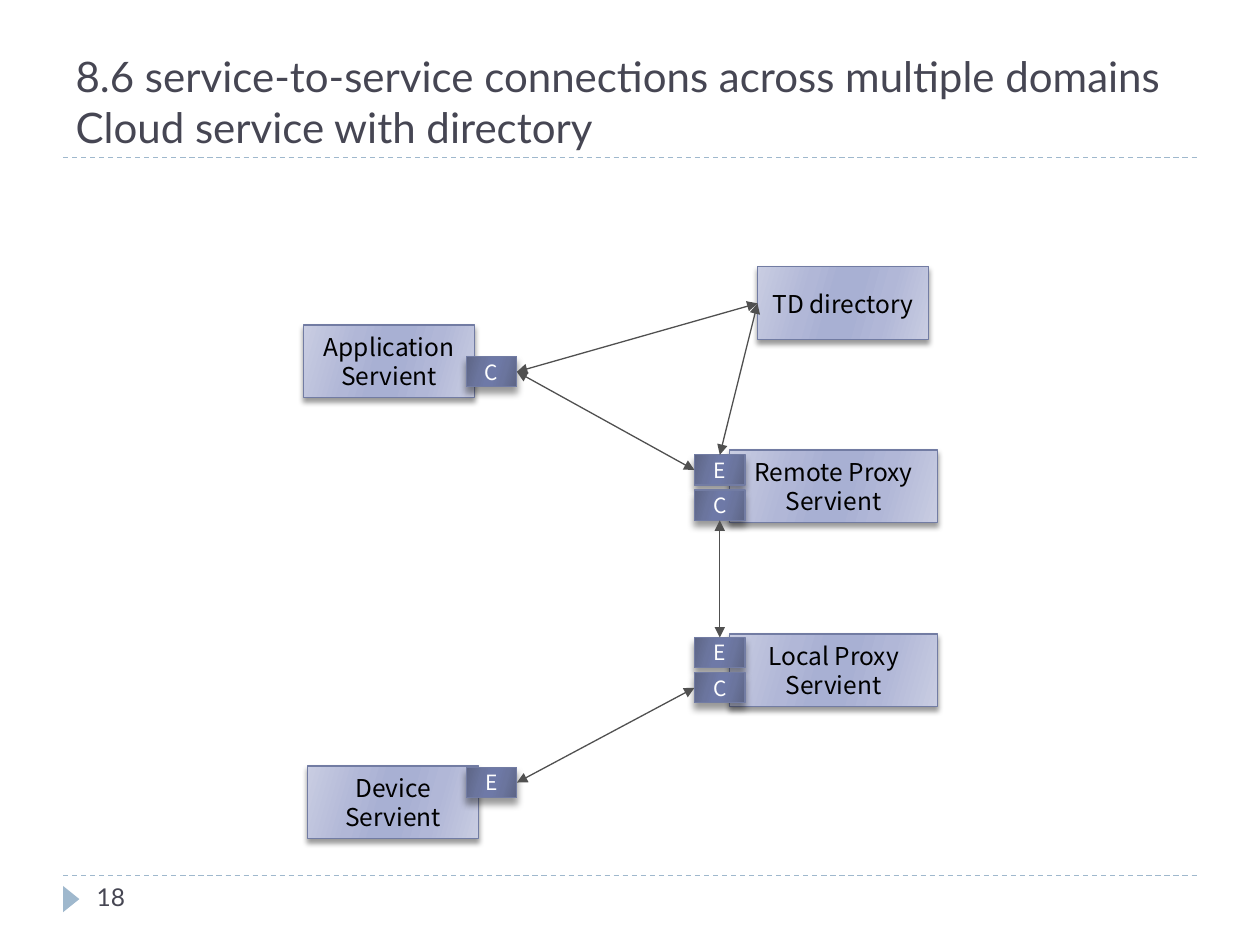
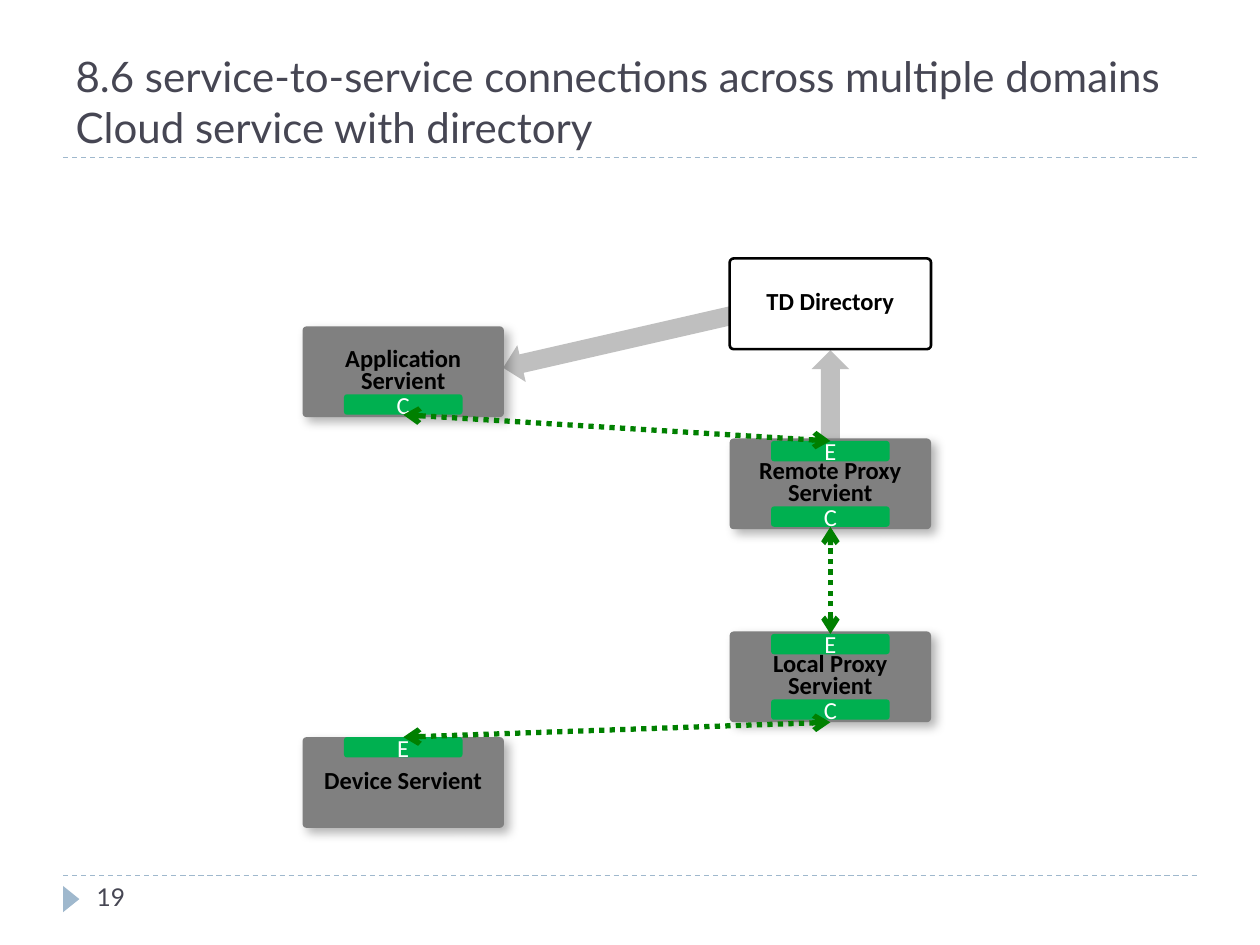
from dataclasses import dataclass
from typing import NamedTuple, Optional

from lxml.etree import SubElement
from pptx import Presentation
from pptx.dml.color import RGBColor
from pptx.enum.dml import MSO_LINE_DASH_STYLE as Dash
from pptx.enum.shapes import MSO_CONNECTOR as Conn, MSO_SHAPE as Geo
from pptx.enum.text import MSO_ANCHOR as Anchor, MSO_AUTO_SIZE as AutoSize, PP_ALIGN as Align
from pptx.oxml.ns import qn
from pptx.util import Cm, Pt

BLACK = RGBColor(0x00, 0x00, 0x00)
WHITE = RGBColor(0xFF, 0xFF, 0xFF)
SLATE = RGBColor(0x46, 0x46, 0x53)
PALE_BLUE = RGBColor(0x9F, 0xB8, 0xCD)
INDIGO = RGBColor(0x72, 0x7C, 0xA3)
CHARCOAL = RGBColor(0x50, 0x50, 0x50)
GREY = RGBColor(0x80, 0x80, 0x80)
SILVER = RGBColor(0xBF, 0xBF, 0xBF)
GREEN = RGBColor(0x00, 0xB0, 0x50)
DARK_GREEN = RGBColor(0x00, 0x80, 0x00)
LIGHT_SHADES = tuple(map(RGBColor.from_string, ("C9CDE2", "B1B7D7", "A8B0D3")))
DARK_SHADES = tuple(map(RGBColor.from_string, ("5D6585", "6B759E", "6E79A7")))

TITLE = ("8.6 service-to-service connections across multiple domains",
         "Cloud service with directory")
TITLE_FONT = "Lato"
TOP, LEFT, BOTTOM, RIGHT = range(4)


class Shadow(NamedTuple):
    alpha: int
    blur: float
    dist: float
    angle: int


@dataclass(frozen=True)
class BoxStyle:
    width: float
    height: float
    font: str
    size: int
    color: RGBColor
    geo: Geo = Geo.RECTANGLE
    radius: float = 0
    fill: Optional[RGBColor] = None
    shades: tuple = ()
    line: Optional[RGBColor] = None
    line_width: float = 0.75
    shadow: Optional[Shadow] = None
    bold: bool = False
    spacing: Optional[float] = None
    inset: float = 0
    wrap: bool = False


@dataclass(frozen=True)
class LinkStyle:
    color: RGBColor
    width: float
    dash: Optional[Dash] = None
    arrow: Optional[str] = None


class Box(NamedTuple):
    key: str
    x: float
    y: float
    lines: tuple
    style: BoxStyle


class Link(NamedTuple):
    start: str
    start_side: int
    end: str
    end_side: int


class BlockArrow(NamedTuple):
    x: float
    y: float
    length: float
    rotation: float


CJK = "Noto Sans CJK JP"
BOX_SHADOW = Shadow(40, 3, 2, 90)
SERVIENT = BoxStyle(3.45, 1.47, CJK, 14, BLACK, shades=LIGHT_SHADES, line=INDIGO,
                    shadow=BOX_SHADOW, inset=0.1, wrap=True)
PROXY = BoxStyle(4.19, 1.47, CJK, 14, BLACK, shades=LIGHT_SHADES, line=INDIGO,
                 shadow=BOX_SHADOW, inset=0.1, wrap=True)
PORT = BoxStyle(1.02, 0.61, CJK, 12, WHITE, shades=DARK_SHADES, line=INDIGO,
                shadow=Shadow(40, 4, 3.4, 90))
BLOCK = BoxStyle(4.06, 1.83, "Calibri", 14, BLACK, Geo.ROUNDED_RECTANGLE, 0.045, fill=GREY,
                 shadow=Shadow(30, 6, 4, 45), bold=True, spacing=0.75)
DIRECTORY = BoxStyle(4.06, 1.83, "Calibri", 14, BLACK, Geo.ROUNDED_RECTANGLE, 0.045, fill=WHITE,
                     line=BLACK, line_width=1.5, bold=True, spacing=0.75)
STRIP = BoxStyle(2.39, 0.41, "Calibri", 14, WHITE, Geo.ROUNDED_RECTANGLE, 0.15, fill=GREEN)

RULE = LinkStyle(PALE_BLUE, 0.75, Dash.DASH)
THIN_LINK = LinkStyle(CHARCOAL, 0.75, arrow="triangle")
DOTTED_LINK = LinkStyle(DARK_GREEN, 3, Dash.ROUND_DOT, "arrow")

SERVIENT_BOXES = (
    Box("app", 6.12, 6.55, ("Application Servient",), SERVIENT),
    Box("device", 6.2, 15.44, ("Device Servient",), SERVIENT),
    Box("directory", 15.27, 5.38, ("TD directory",), SERVIENT),
    Box("remote", 14.71, 9.07, ("Remote Proxy Servient",), PROXY),
    Box("local", 14.71, 12.78, ("Local Proxy Servient",), PROXY),
    Box("app C", 9.4, 7.19, ("C",), PORT),
    Box("device E", 9.4, 15.47, ("E",), PORT),
    Box("remote E", 14, 9.17, ("E",), PORT),
    Box("remote C", 14, 9.88, ("C",), PORT),
    Box("local E", 14, 12.85, ("E",), PORT),
    Box("local C", 14, 13.56, ("C",), PORT),
)
SERVIENT_LINKS = (
    Link("app C", RIGHT, "remote E", LEFT),
    Link("device E", RIGHT, "local C", LEFT),
    Link("remote C", BOTTOM, "local E", TOP),
    Link("app C", RIGHT, "directory", LEFT),
    Link("remote E", TOP, "directory", LEFT),
)

LEFT_X, RIGHT_X = 6.1, 14.71
BLOCKS = (
    Box("app", LEFT_X, 6.58, ("Application", "Servient"), BLOCK),
    Box("device", LEFT_X, 14.86, ("Device Servient",), BLOCK),
    Box("local", RIGHT_X, 12.73, ("Local Proxy", "Servient"), BLOCK),
    Box("remote", RIGHT_X, 8.84, ("Remote Proxy", "Servient"), BLOCK),
    Box("directory", RIGHT_X, 5.21, ("TD Directory",), DIRECTORY),
)
STRIP_DROPS = {"app C": 1.37, "device E": 0, "local C": 1.37, "local E": 0.05,
               "remote C": 1.37, "remote E": 0.05}
BLOCK_LINKS = (
    Link("local E", TOP, "remote C", BOTTOM),
    Link("device E", TOP, "local", BOTTOM),
    Link("app C", BOTTOM, "remote E", TOP),
)
BLOCK_ARROWS = (BlockArrow(12.19, 4.37, 4.98, 77.1), BlockArrow(16.36, 7.06, 2.01, 180))


def add_run(p, text: str, font: str, size: int, color: RGBColor, bold: bool = False) -> None:
    r = p.add_run()
    r.text = text
    r.font.name, r.font.size, r.font.bold = font, Pt(size), bold
    r.font.color.rgb = color


def apply_shades(fill, shades: tuple) -> None:
    fill.gradient()
    fill.gradient_angle = 344
    stops = fill.gradient_stops[0]._gs.getparent()
    for stop in list(stops):
        stops.remove(stop)
    for pos, shade in zip((0, 30, 45, 55, 73, 100), shades + shades[::-1]):
        gs = SubElement(stops, qn("a:gs"), pos=str(pos * 1000))
        SubElement(gs, qn("a:srgbClr"), val=str(shade))


def apply_shadow(sp, shadow: Shadow) -> None:
    effects = sp._element.spPr.find(qn("a:effectLst"))
    outer = SubElement(effects, qn("a:outerShdw"), blurRad=str(Pt(shadow.blur)),
                       dist=str(Pt(shadow.dist)), dir=str(shadow.angle * 60000),
                       algn="ctr", rotWithShape="0")
    color = SubElement(outer, qn("a:srgbClr"), val=str(BLACK))
    SubElement(color, qn("a:alpha"), val=str(shadow.alpha * 1000))


def add_plain(slide, geo: Geo, x: float, y: float, w: float, h: float,
              fill: Optional[RGBColor], rotation: float = 0):
    sp = slide.shapes.add_shape(geo, Cm(x), Cm(y), Cm(w), Cm(h))
    sp.shadow.inherit = False
    sp.rotation = rotation
    sp.line.fill.background()
    if fill is not None:
        sp.fill.solid()
        sp.fill.fore_color.rgb = fill
    return sp


def add_box(slide, box: Box):
    st = box.style
    sp = add_plain(slide, st.geo, box.x, box.y, st.width, st.height, st.fill)
    if st.radius:
        sp.adjustments[0] = st.radius
    if st.shades:
        apply_shades(sp.fill, st.shades)
    if st.line is not None:
        sp.line.color.rgb = st.line
        sp.line.width = Pt(st.line_width)
    if st.shadow:
        apply_shadow(sp, st.shadow)
    tf = sp.text_frame
    tf.word_wrap = st.wrap
    tf.vertical_anchor = Anchor.MIDDLE
    tf.margin_left = tf.margin_right = Cm(st.inset)
    tf.margin_top = tf.margin_bottom = Cm(st.inset)
    for i, line in enumerate(box.lines):
        p = tf.add_paragraph() if i else tf.paragraphs[0]
        p.alignment = Align.CENTER
        p.line_spacing = st.spacing
        add_run(p, line, st.font, st.size, st.color, st.bold)
    return sp


def add_line(slide, style: LinkStyle, x1: float = 0, y1: float = 0,
             x2: float = 0, y2: float = 0):
    cx = slide.shapes.add_connector(Conn.STRAIGHT, Cm(x1), Cm(y1), Cm(x2), Cm(y2))
    cx.line.color.rgb = style.color
    cx.line.width = Pt(style.width)
    if style.dash is not None:
        cx.line.dash_style = style.dash
    spPr = cx._element.spPr
    if style.arrow:
        for end in ("a:headEnd", "a:tailEnd"):
            SubElement(spPr.find(qn("a:ln")), qn(end), type=style.arrow)
    SubElement(spPr, qn("a:effectLst"))
    return cx


def add_diagram(slide, boxes: tuple, links: tuple, style: LinkStyle) -> None:
    drawn = {box.key: add_box(slide, box) for box in boxes}
    for link in links:
        cx = add_line(slide, style)
        cx.begin_connect(drawn[link.start], link.start_side)
        cx.end_connect(drawn[link.end], link.end_side)


def add_base_slide(prs, number: int):
    slide = prs.slides.add_slide(prs.slide_layouts[5])
    for y in (17.65, 3.18):
        add_line(slide, RULE, 1.27, y, 24.13, y)
    add_plain(slide, Geo.ISOSCELES_TRIANGLE, 1.17, 17.96, 0.53, 0.33, PALE_BLUE, 90)

    title = slide.shapes.title
    title.left, title.top, title.width, title.height = Cm(1.27), Cm(0.64), Cm(22.86), Cm(2.54)
    tf = title.text_frame
    tf.auto_size = AutoSize.NONE
    tf.word_wrap = True
    tf.vertical_anchor = Anchor.BOTTOM
    p = tf.paragraphs[0]
    p.alignment = Align.LEFT
    for i, line in enumerate(TITLE):
        if i:
            p.add_line_break()
        add_run(p, line, TITLE_FONT, 24, SLATE)

    tf = slide.shapes.add_textbox(Cm(1.7), Cm(17.65), Cm(5.51), Cm(1.02)).text_frame
    tf.word_wrap = True
    add_run(tf.paragraphs[0], str(number), TITLE_FONT, 14, SLATE)
    return slide


def add_servient_slide(prs) -> None:
    slide = add_base_slide(prs, 18)
    add_diagram(slide, SERVIENT_BOXES, SERVIENT_LINKS, THIN_LINK)


def add_block_slide(prs) -> None:
    slide = add_base_slide(prs, 19)
    for arrow in BLOCK_ARROWS:
        add_plain(slide, Geo.DOWN_ARROW, arrow.x, arrow.y, 0.76, arrow.length,
                  SILVER, arrow.rotation)
    owners = {box.key: box for box in BLOCKS}
    strips = []
    for key, drop in STRIP_DROPS.items():
        owner, letter = key.split()
        block = owners[owner]
        x = block.x + (BLOCK.width - STRIP.width) / 2
        strips.append(Box(key, x, block.y + drop, (letter,), STRIP))
    add_diagram(slide, BLOCKS + tuple(strips), BLOCK_LINKS, DOTTED_LINK)


def main() -> None:
    prs = Presentation()
    prs.slide_width, prs.slide_height = Cm(25.4), Cm(19.05)
    add_servient_slide(prs)
    add_block_slide(prs)
    prs.save("out.pptx")


if __name__ == "__main__":
    main()
